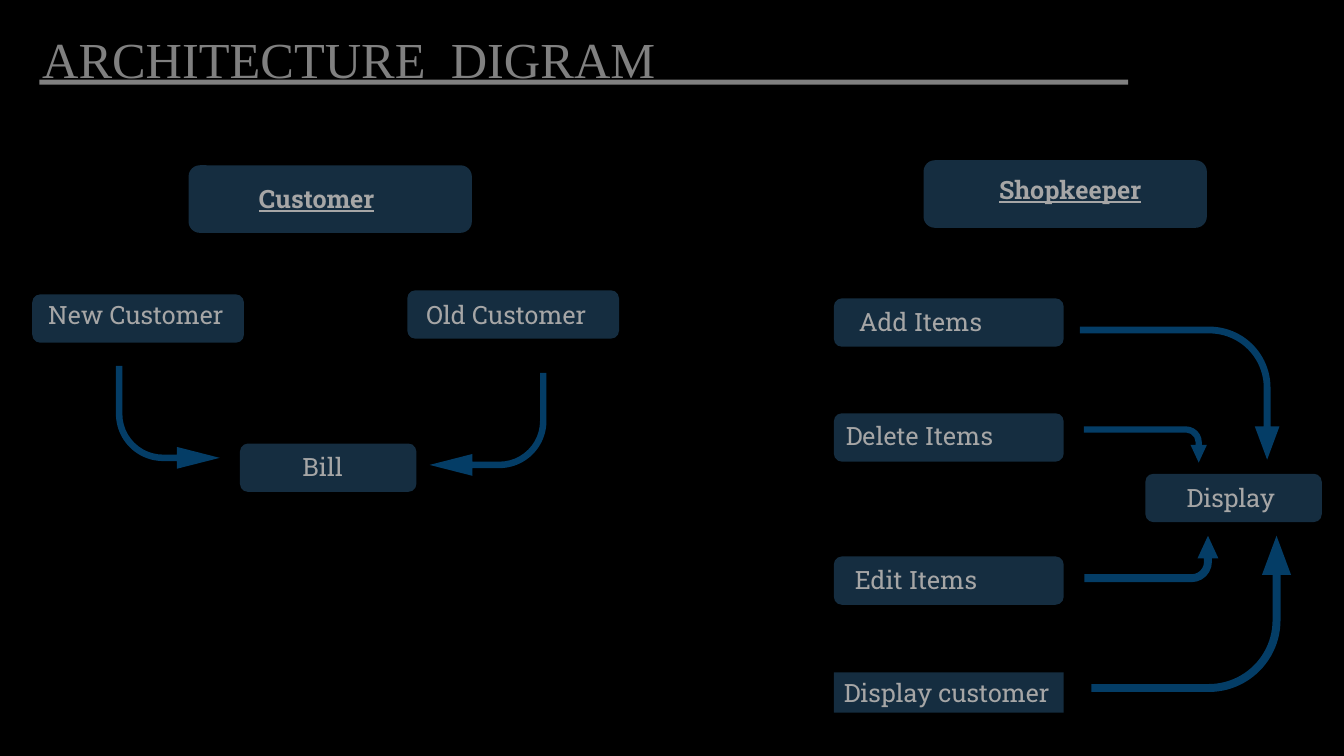
from pptx import Presentation
from pptx.dml.color import RGBColor
from pptx.enum.shapes import MSO_SHAPE
from pptx.enum.text import MSO_AUTO_SIZE, PP_ALIGN
from pptx.util import Emu, Pt

EMU_PER_PX = 9144  # 100 px to the inch

BLACK, NAVY, BLUE = "000000", "152D40", "043D66"
GREY, LIGHT_GREY = "808080", "A6A6A6"

LABEL = {"name": "Roboto Slab", "size": Pt(18)}
HEADING = {**LABEL, "bold": True, "underline": True}
TITLE = {"name": "Times New Roman", "size": Pt(36)}

LABEL_HEIGHT = 40
# Box sizes
HEADING_BOX = (281, 67)
CUSTOMER_BOX = (210, 48)
ITEM_BOX = (228, 48)
RESULT_BOX = (175, 48)

# Text, box position, box size, label position, label width, format
BOXES = [
    ("Customer", (187, 164), HEADING_BOX, (247, 177), 228, HEADING),
    ("New Customer", (32, 292), CUSTOMER_BOX, (38, 292), 262, LABEL),
    ("Old Customer", (404, 288), CUSTOMER_BOX, (413, 292), 228, LABEL),
    ("Bill", (238, 440), RESULT_BOX, (290, 443), 228, LABEL),
    ("Shopkeeper", (916, 159), HEADING_BOX, (981, 168), 228, HEADING),
    ("Add Items", (827, 296), ITEM_BOX, (842, 299), 148, LABEL),
    ("Delete Items", (827, 410), ITEM_BOX, (829, 412), 201, LABEL),
    ("Edit Items", (827, 552), ITEM_BOX, (838, 555), 152, LABEL),
    ("Display", (1136, 470), RESULT_BOX, (1167, 474), 228, LABEL),
]

# Bent arrow proportions: shaft, head half-width, head length, bend
WIDE_BEND = (0.051, 0.093, 0.25, 0.459)
TIGHT_BEND = (0.171, 0.226, 0.488, 0.438)
BILL_BEND = (0.063, 0.106, 0.416, 0.459)

# Frame before rotation, rotation, mirrored, proportions
ARROWS = [
    ((426, 370, 116, 102), 180, False, BILL_BEND),
    ((115, 363, 103, 102), 180, True, BILL_BEND),
    ((1104, 291, 132, 198), 90, False, WIDE_BEND),
    ((1118, 380, 36, 122), 90, False, TIGHT_BEND),
    ((1119, 488, 46, 133), 90, True, TIGHT_BEND),
    ((1104, 510, 155, 198), 90, True, WIDE_BEND),
]


def px(length):
    return Emu(length * EMU_PER_PX)


def color(hex_string):
    return RGBColor.from_string(hex_string)


def add_filled_shape(slide, kind, frame, fill):
    shape = slide.shapes.add_shape(kind, *map(px, frame))
    shape.shadow.inherit = False
    shape.fill.solid()
    shape.fill.fore_color.rgb = color(fill)
    shape.line.fill.background()
    return shape


def write_text(shape, text, font_format, font_color):
    frame = shape.text_frame
    frame.word_wrap = True
    frame.auto_size = MSO_AUTO_SIZE.SHAPE_TO_FIT_TEXT
    paragraph = frame.paragraphs[0]
    paragraph.alignment = PP_ALIGN.LEFT
    run = paragraph.add_run()
    run.text = text
    for attribute, value in font_format.items():
        setattr(run.font, attribute, value)
    run.font.color.rgb = color(font_color)


def add_label(slide, text, frame, font_format, font_color=LIGHT_GREY):
    label = slide.shapes.add_textbox(*map(px, frame))
    write_text(label, text, font_format, font_color)


def add_labelled_box(slide, text, position, size, label_position, label_width, font_format):
    add_filled_shape(slide, MSO_SHAPE.ROUNDED_RECTANGLE, (*position, *size), NAVY)
    add_label(slide, text, (*label_position, label_width, LABEL_HEIGHT), font_format)


def add_bent_arrow(slide, frame, rotation, mirrored, proportions):
    arrow = add_filled_shape(slide, MSO_SHAPE.BENT_ARROW, frame, BLUE)
    for index, proportion in enumerate(proportions):
        arrow.adjustments[index] = proportion
    arrow.rotation = rotation
    if mirrored:
        arrow._element.spPr.get_or_add_xfrm().set("flipH", "1")


def main():
    presentation = Presentation()
    presentation.slide_width = px(1333)
    presentation.slide_height = px(750)
    slide = presentation.slides.add_slide(presentation.slide_layouts[6])
    slide.background.fill.solid()
    slide.background.fill.fore_color.rgb = color(BLACK)

    # Title and rule
    add_label(slide, "ARCHITECTURE  DIGRAM", (32, 23, 915, 71), TITLE, GREY)
    add_filled_shape(slide, MSO_SHAPE.RECTANGLE, (39, 79, 1080, 5), GREY)

    # Customer and shopkeeper boxes
    for box in BOXES:
        add_labelled_box(slide, *box)
    display_customer = add_filled_shape(slide, MSO_SHAPE.RECTANGLE, (827, 667, 228, 40), NAVY)
    write_text(display_customer, "Display customer", LABEL, LIGHT_GREY)

    # Arrows into Bill and Display
    for arrow in ARROWS:
        add_bent_arrow(slide, *arrow)

    presentation.save("out.pptx")


if __name__ == "__main__":
    main()
